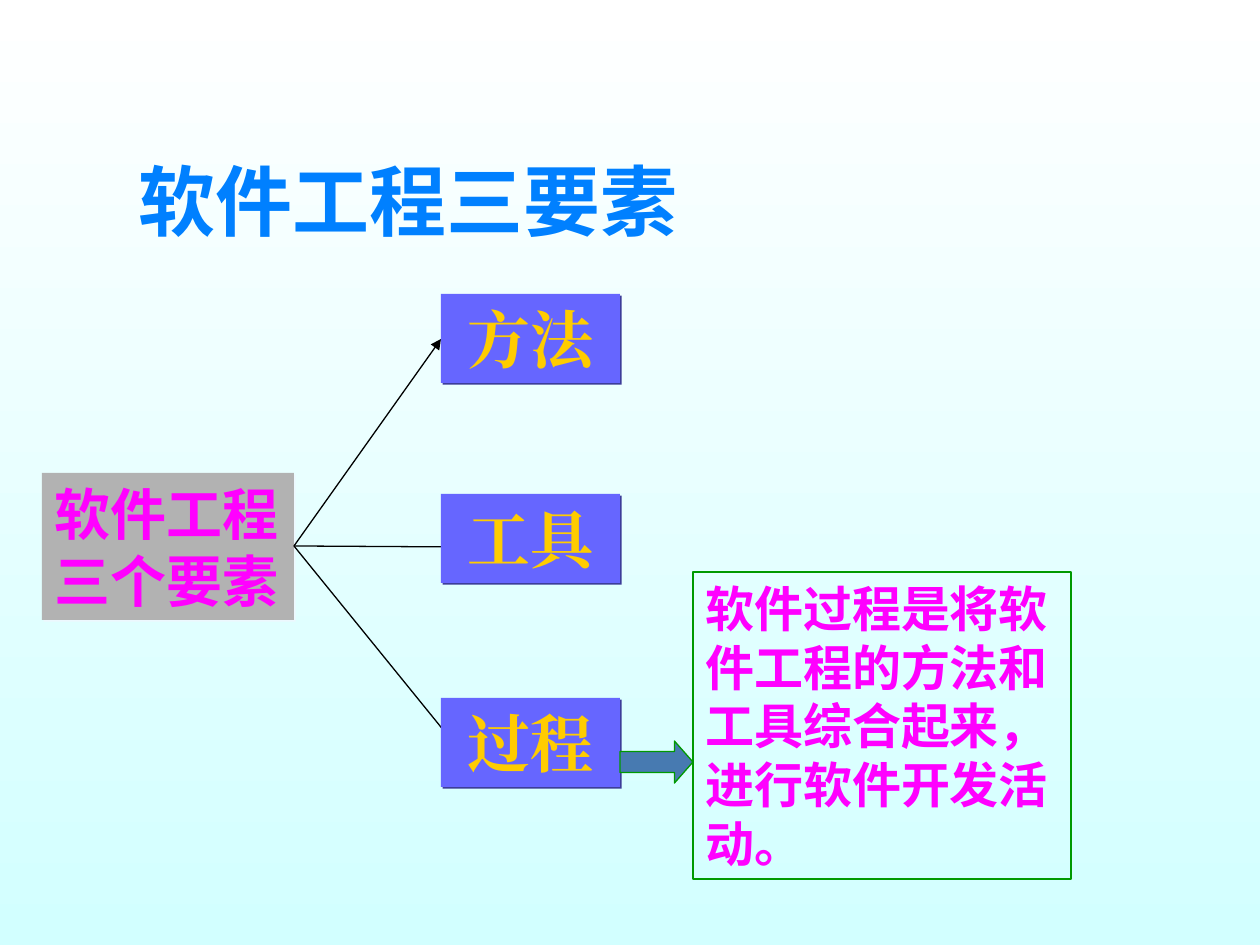
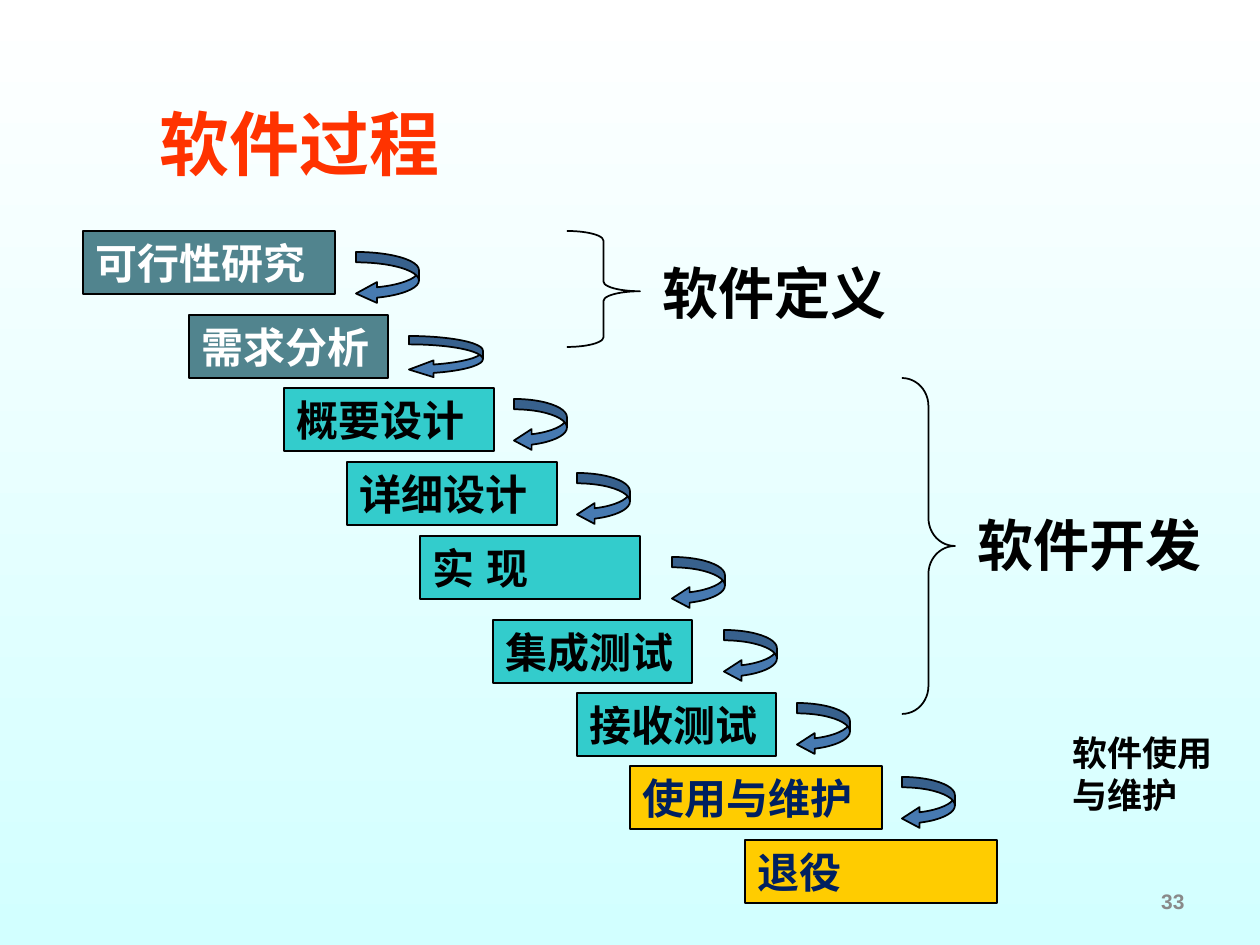
import pptx
import pptx.util
import pptx.dml.color
import pptx.enum.shapes
import pptx.enum.text
import pptx.oxml.ns
import lxml.etree

SHAPES = pptx.enum.shapes.MSO_SHAPE
ALIGN = pptx.enum.text.PP_ALIGN
ANCHOR = pptx.enum.text.MSO_ANCHOR
COLOURS = {
    "sky_top": "FFFFFF", "sky_bottom": "D2FFFF", "blue_title": "0080FF",
    "red_title": "FF3300", "grey": "B2B2B2", "grey_shadow": "EDF8FE",
    "violet": "6666FF", "violet_shadow": "3D3D99", "gold": "FFCC00",
    "magenta": "FF00FF", "green": "009900", "arrow": "477AB1",
    "slate": "51848E", "teal": "33CCCC", "navy": "002060",
    "white": "FFFFFF", "black": "000000", "number": "898989",
}
CJK = "Noto Sans CJK SC"
THIN, MEDIUM = 0.74, 1

# Content: boxes are left, top, width, height in pixels
ROOT = (["软件工程", "三个要素"], (42, 473, 252, 147))
ELEMENT_LEFT, ELEMENT_WIDTH, ELEMENT_HEIGHT = 441, 179, 89
ELEMENTS = [  # name, top, end of the line from the root
    ("方法", 294, (441, 339)),
    ("工具", 494, (462, 547)),
    ("过程", 698, (462, 753)),
]
NOTE = ("软件过程是将软件工程的方法和工具综合起来，进行软件开发活动。", (693, 572, 378, 307))
NOTE_ARROW = (620, 741, 73, 42)

STEP_HEIGHT = 63
PHASES = {  # fill, text colour
    "define": ("slate", "white"), "develop": ("teal", "black"), "use": ("gold", "navy"),
}
STEPS = [  # name, phase, left, top, width, arrow (gap, drop, width, height)
    ("可行性研究", "define", 83, 231, 252, (21, 21, 63, 52)),
    ("需求分析", "define", 189, 315, 199, (21, 21, 74, 42)),
    ("概要设计", "develop", 284, 388, 210, (20, 11, 53, 52)),
    ("详细设计", "develop", 347, 462, 210, (20, 11, 53, 52)),
    ("实 现", "develop", 420, 536, 220, (32, 21, 53, 52)),
    ("集成测试", "develop", 493, 620, 199, (32, 10, 53, 52)),
    ("接收测试", "develop", 577, 693, 199, (21, 10, 53, 52)),
    ("使用与维护", "use", 630, 766, 252, (20, 11, 53, 52)),
    ("退役", "use", 745, 840, 252, None),
]
BRACES = [((567, 231, 73, 116), 0.52), ((902, 378, 53, 336), 0.5)]
PHASE_LABELS = [
    ("软件定义", 32, (650, 252, 252, 80)),
    ("软件开发", 32, (965, 504, 252, 80)),
    ("软件使用与维护", 20, (1060, 725, 168, 97)),
]


def px(length):
    return pptx.util.Emu(round(length * 914400 / 126))


def colour(name):
    return pptx.dml.color.RGBColor.from_string(COLOURS[name])


def write(shape, lines, size, ink, font="Arial", align=ALIGN.LEFT, anchor=ANCHOR.TOP, wrap=True):
    """Fill a shape with bold paragraphs in one format."""
    frame = shape.text_frame
    frame.text = "\n".join(lines)
    frame.word_wrap = wrap
    frame.auto_size = pptx.enum.text.MSO_AUTO_SIZE.NONE
    frame.vertical_anchor = anchor
    for paragraph in frame.paragraphs:
        paragraph.alignment = align
        for run in paragraph.runs:
            run.font.size = pptx.util.Pt(size)
            run.font.bold = True
            run.font.name = font
            run.font.color.rgb = colour(ink)
            east_asian = lxml.etree.SubElement(run._r.get_or_add_rPr(), pptx.oxml.ns.qn("a:ea"))
            east_asian.set("typeface", font)


def add_shape(slide, kind, box, fill=None, line=None, weight=THIN):
    shape = slide.shapes.add_shape(kind, *map(px, box))
    shape.shadow.inherit = False
    if fill:
        shape.fill.solid()
        shape.fill.fore_color.rgb = colour(fill)
    else:
        shape.fill.background()
    if line:
        shape.line.color.rgb = colour(line)
        shape.line.width = pptx.util.Pt(weight)
    else:
        shape.line.fill.background()
    return shape


def add_shadow(shape, name):
    """Cast a hard shadow down and to the right."""
    effects = shape._element.spPr.find(pptx.oxml.ns.qn("a:effectLst"))
    shadow = lxml.etree.SubElement(effects, pptx.oxml.ns.qn("a:outerShdw"),
                                   dist="17961", dir="2700000", algn="ctr", rotWithShape="0")
    lxml.etree.SubElement(shadow, pptx.oxml.ns.qn("a:srgbClr"), val=COLOURS[name])


def add_arrow_line(slide, start, end):
    line = slide.shapes.add_connector(pptx.enum.shapes.MSO_CONNECTOR.STRAIGHT,
                                      *map(px, start + end))
    line.line.color.rgb = colour("black")
    line.line.width = pptx.util.Pt(THIN)
    lxml.etree.SubElement(line.line._get_or_add_ln(), pptx.oxml.ns.qn("a:tailEnd"), type="triangle")
    lxml.etree.SubElement(line._element.spPr, pptx.oxml.ns.qn("a:effectLst"))


def add_text(slide, box, *text, **layout):
    write(slide.shapes.add_textbox(*map(px, box)), *text, **layout)


def add_slide(title, box, size, ink):
    slide = presentation.slides.add_slide(presentation.slide_layouts[5])
    shape = slide.shapes.title
    shape.left, shape.top, shape.width, shape.height = map(px, box)
    write(shape, [title], size, ink, font=CJK)
    return slide


# Shared page: size and gradient background
presentation = pptx.Presentation()
presentation.slide_width, presentation.slide_height = px(1260), px(945)
background = presentation.slide_master.background.fill
background.gradient()
background.gradient_angle = 270
for stop, name in zip(background.gradient_stops, ("sky_top", "sky_bottom")):
    stop.color.rgb = colour(name)

# Slide 1: the three elements
slide = add_slide("软件工程三要素", (126, 147, 766, 106), 44, "blue_title")
lines, root_box = ROOT
root = add_shape(slide, SHAPES.RECTANGLE, root_box, "grey")
add_shadow(root, "grey_shadow")
write(root, lines, 32, "magenta")
left, top, width, height = root_box
for name, element_top, line_end in ELEMENTS:
    add_arrow_line(slide, (left + width, top + height // 2), line_end)
for name, element_top, line_end in ELEMENTS:
    box = (ELEMENT_LEFT, element_top, ELEMENT_WIDTH, ELEMENT_HEIGHT)
    element = add_shape(slide, SHAPES.RECTANGLE, box, "violet")
    add_shadow(element, "violet_shadow")
    write(element, [name], 36, "gold", font="Times New Roman",
          align=ALIGN.CENTER, anchor=ANCHOR.MIDDLE, wrap=False)

# Note on the process
text, box = NOTE
write(add_shape(slide, SHAPES.RECTANGLE, box, line="green"), [text], 28, "magenta")
note_arrow = add_shape(slide, SHAPES.RIGHT_ARROW, NOTE_ARROW, "arrow", "green")
note_arrow.adjustments[1] = 0.44

# Slide 2: staircase of steps
slide = add_slide("软件过程", (147, 94, 1166, 97), 40, "red_title")
add_text(slide, (903, 876, 294, 50), ["33"], 12, "number", align=ALIGN.RIGHT, anchor=ANCHOR.MIDDLE)
for name, phase, left, top, width, arrow in STEPS:
    fill, ink = PHASES[phase]
    step = add_shape(slide, SHAPES.RECTANGLE, (left, top, width, STEP_HEIGHT), fill, "black")
    write(step, [name], 24, ink)
    if arrow:
        gap, drop, arrow_width, arrow_height = arrow
        box = (left + width + gap, top + drop, arrow_width, arrow_height)
        turn = add_shape(slide, SHAPES.CURVED_LEFT_ARROW, box, "arrow", "black", MEDIUM)
        head = arrow_width / 3 / min(arrow_width, arrow_height)
        for index, value in enumerate((0.2, 0.4, head)):
            turn.adjustments[index] = value

# Braces and phase labels
for box, middle in BRACES:
    brace = add_shape(slide, SHAPES.RIGHT_BRACE, box, line="black", weight=MEDIUM)
    brace.adjustments[0] = box[3] / 12 / min(box[2:])
    brace.adjustments[1] = middle
for text, size, box in PHASE_LABELS:
    add_text(slide, box, [text], size, "black")

presentation.save("out.pptx")
